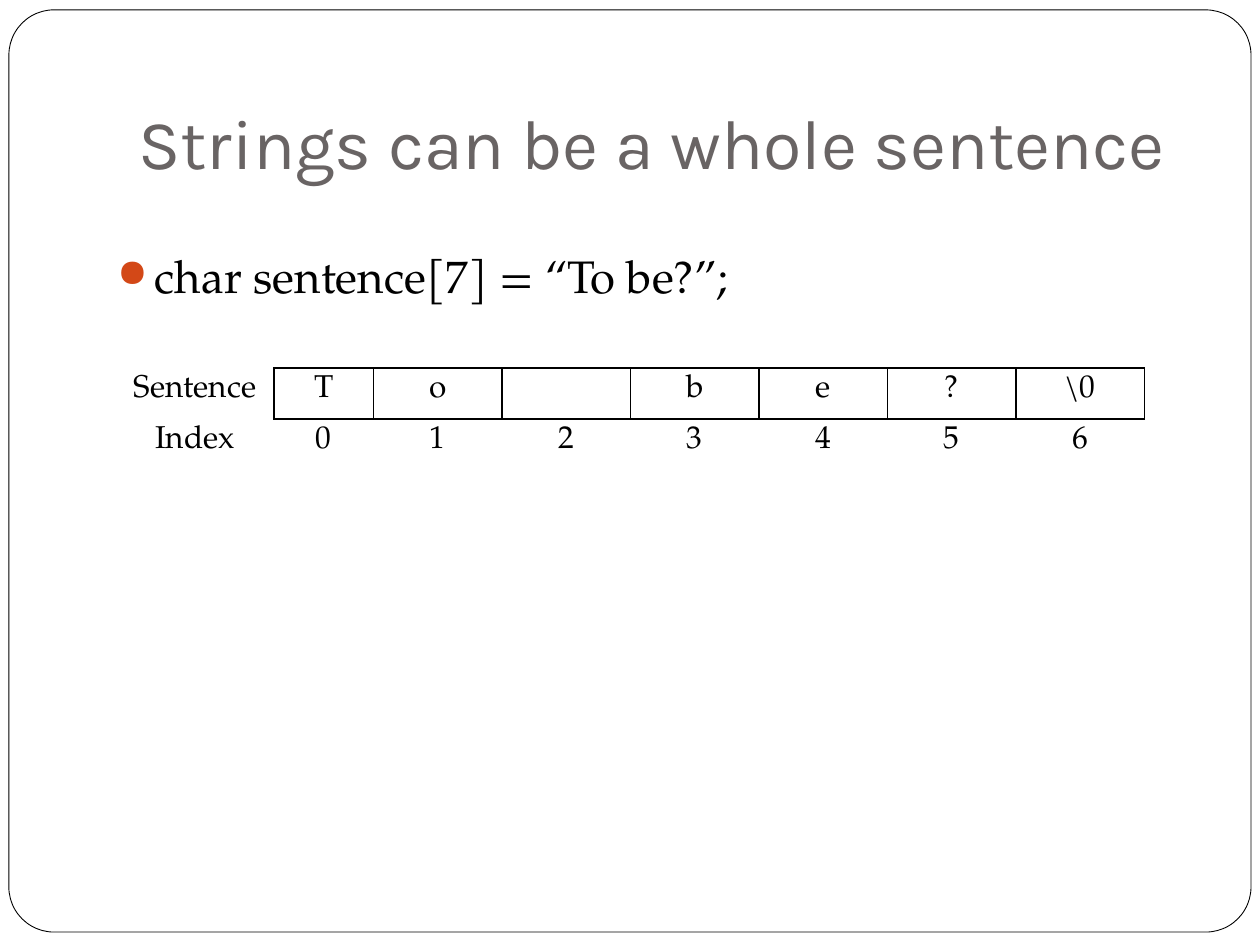
"""Build a slide that shows a string stored as an array of characters."""
import lxml.etree
import pptx
import pptx.dml.color
import pptx.enum.shapes
import pptx.enum.text
import pptx.oxml.ns
import pptx.util

Cm = pptx.util.Cm
Pt = pptx.util.Pt
ANCHOR = pptx.enum.text.MSO_ANCHOR
ALIGN = pptx.enum.text.PP_ALIGN
COLORS = {"page": "FFFFFF", "ink": "000000", "title": "696464", "dot": "D34817"}
SERIF = "TeX Gyre Pagella"
ROWS = [
    ["Sentence", "T", "o", "", "b", "e", "?", "\\0"],
    ["Index", "0", "1", "2", "3", "4", "5", "6"],
]


def color(name):
    return pptx.dml.color.RGBColor.from_string(COLORS[name])


def apply(target, values):
    for name, value in values.items():
        setattr(target, name, value)


def add_node(parent, tag, **values):
    node = lxml.etree.SubElement(parent, pptx.oxml.ns.qn(tag))
    for name, value in values.items():
        node.set(name, str(value))
    return node


def write(para, text, size, font, ink):
    run = para.add_run()
    run.text = text
    apply(run.font, {"size": Pt(size), "name": font})
    run.font.color.rgb = color(ink)


def add_frame(slide):
    kind = pptx.enum.shapes.MSO_SHAPE.ROUNDED_RECTANGLE
    frame = slide.shapes.add_shape(kind, Cm(0.18), Cm(0.2), Cm(25.04), Cm(18.59))
    frame.adjustments[0] = 0.049
    frame.shadow.inherit = False
    frame.fill.solid()
    frame.fill.fore_color.rgb = color("page")
    frame.line.color.rgb = color("ink")
    frame.line.width = Pt(0.5)


def add_text(slide, box, text, size, font, ink, values):
    frame = slide.shapes.add_textbox(*map(Cm, box)).text_frame
    apply(frame, {"word_wrap": True, **values})
    para = frame.paragraphs[0]
    write(para, text, size, font, ink)
    return para


def add_bullet(para):
    para.space_before = Pt(5.8)
    props = para._p.get_or_add_pPr()
    indent = Cm(0.76)
    props.set("marL", str(indent))
    props.set("indent", str(-indent))
    add_node(add_node(props, "a:buClr"), "a:srgbClr", val=COLORS["dot"])
    add_node(props, "a:buSzPct", val=85000)
    add_node(props, "a:buChar", char="\u25cf")


def set_edges(cell, shown):
    props = cell._tc.get_or_add_tcPr()
    for side in "LRTB":
        line = add_node(props, "a:ln" + side, w=Pt(1))
        if side in shown:
            fill = add_node(line, "a:solidFill")
            add_node(fill, "a:srgbClr", val=COLORS["ink"])
        else:
            add_node(line, "a:noFill")
    add_node(props, "a:noFill")


def add_grid(slide):
    widths = [3.18, 2.01] + [2.59] * 6
    height = 1.03
    shape = slide.shapes.add_table(
        len(ROWS), len(widths), Cm(2.34), Cm(7.42), Cm(sum(widths)), Cm(2 * height)
    )
    table = shape.table
    apply(table, {"first_row": False, "horz_banding": False})
    for col, width in zip(table.columns, widths):
        col.width = Cm(width)
    for i, texts in enumerate(ROWS):
        table.rows[i].height = Cm(height)
        for j, text in enumerate(texts):
            cell = table.cell(i, j)
            para = cell.text_frame.paragraphs[0]
            para.alignment = ALIGN.CENTER
            if text:
                write(para, text, 18, SERIF, "ink")
            if j == 0:
                shown = "R" if i == 0 else ""
            else:
                shown = "LRTB" if i == 0 else "T"
            set_edges(cell, shown)


def main():
    deck = pptx.Presentation()
    apply(deck, {"slide_width": Cm(25.4), "slide_height": Cm(19.05)})
    slide = deck.slides.add_slide(deck.slide_layouts[6])
    add_frame(slide)
    add_text(
        slide, (2.54, 0.76, 21.59, 3.18), "Strings can be a whole sentence",
        40, "Karla", "title",
        {"vertical_anchor": ANCHOR.BOTTOM, "margin_bottom": Cm(0.25)},
    )
    para = add_text(
        slide, (2.11, 4.88, 21.59, 1.47), "char sentence[7] = “To be?”;",
        26, SERIF, "ink", {"vertical_anchor": ANCHOR.TOP},
    )
    add_bullet(para)
    add_grid(slide)
    deck.save("out.pptx")


main()
